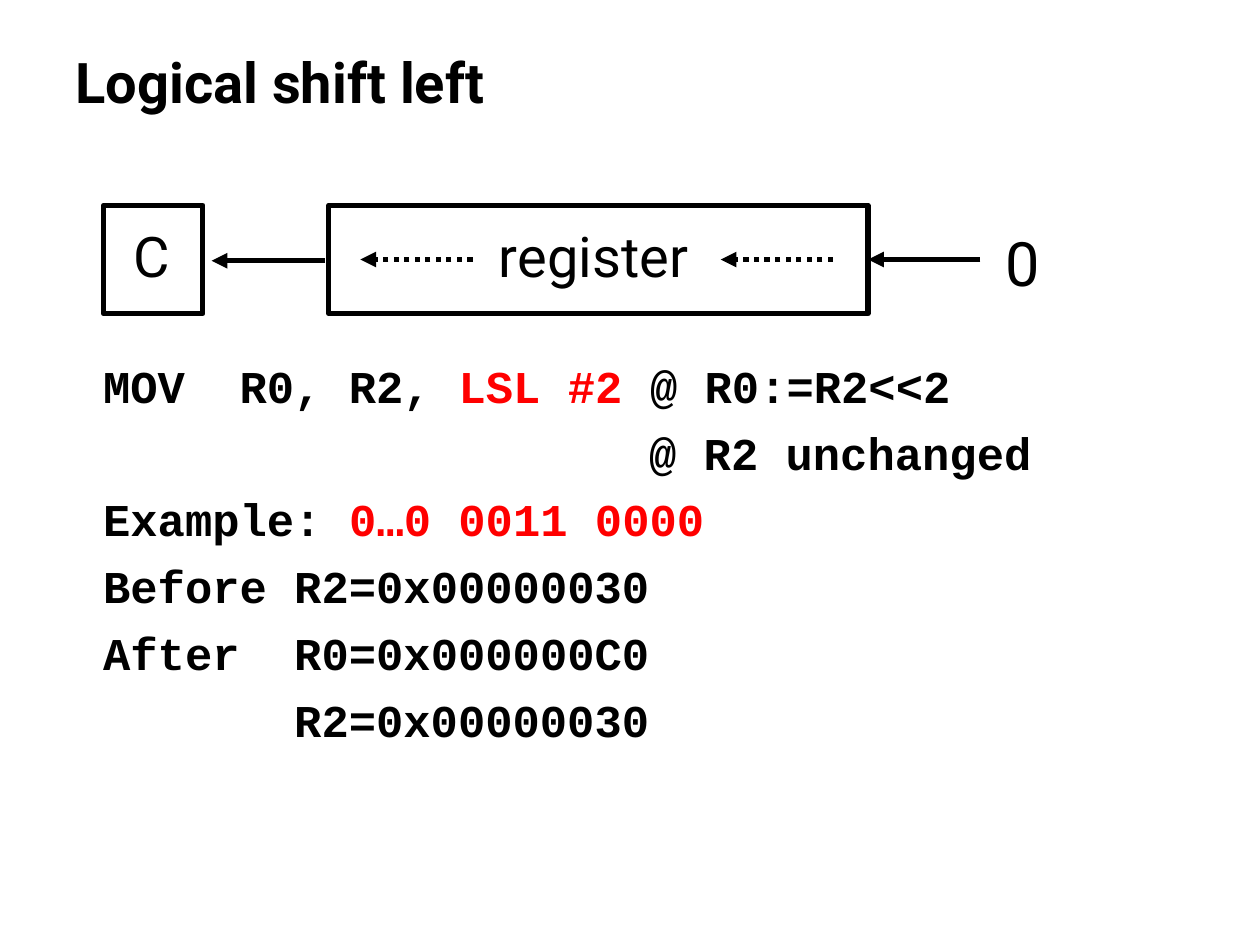
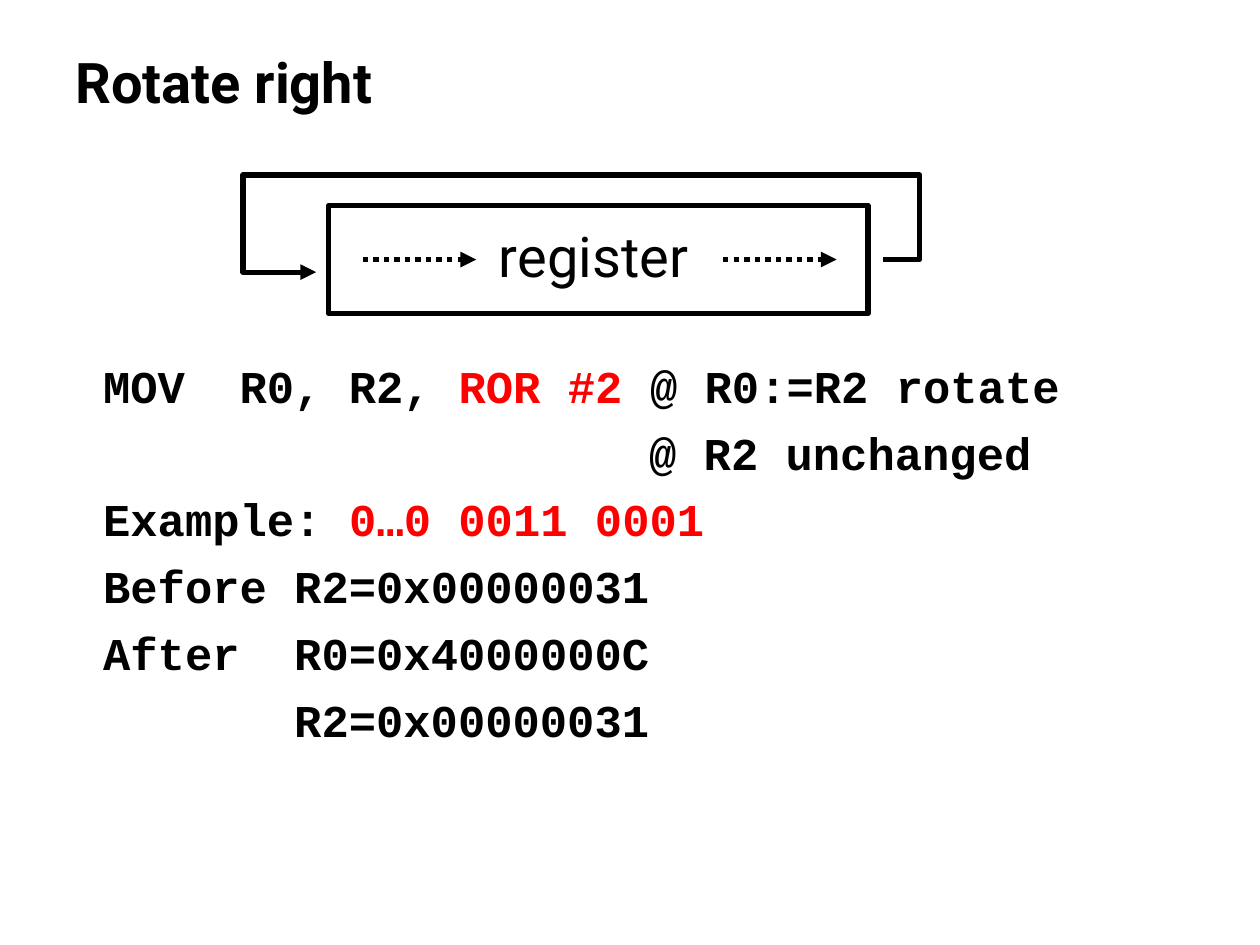
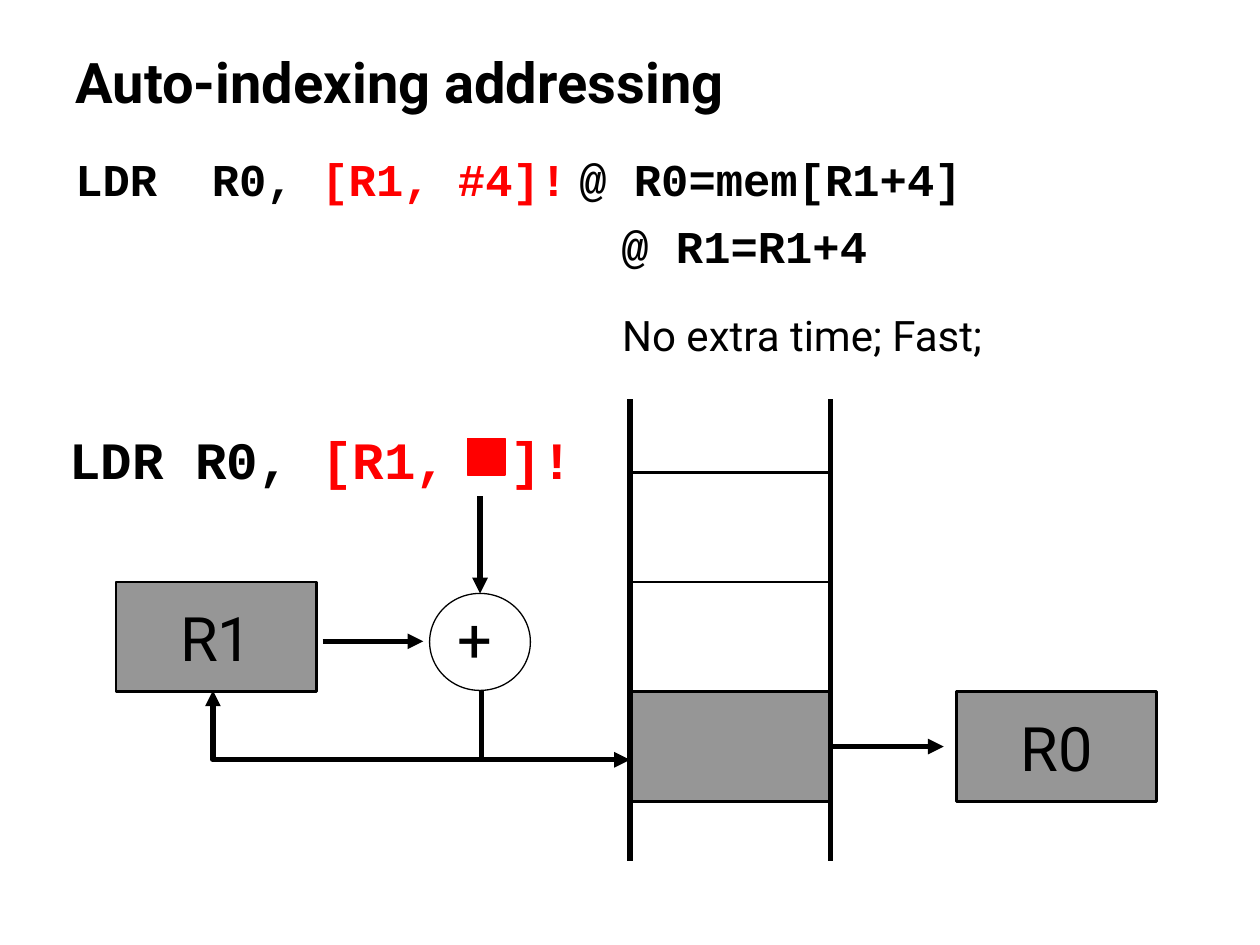
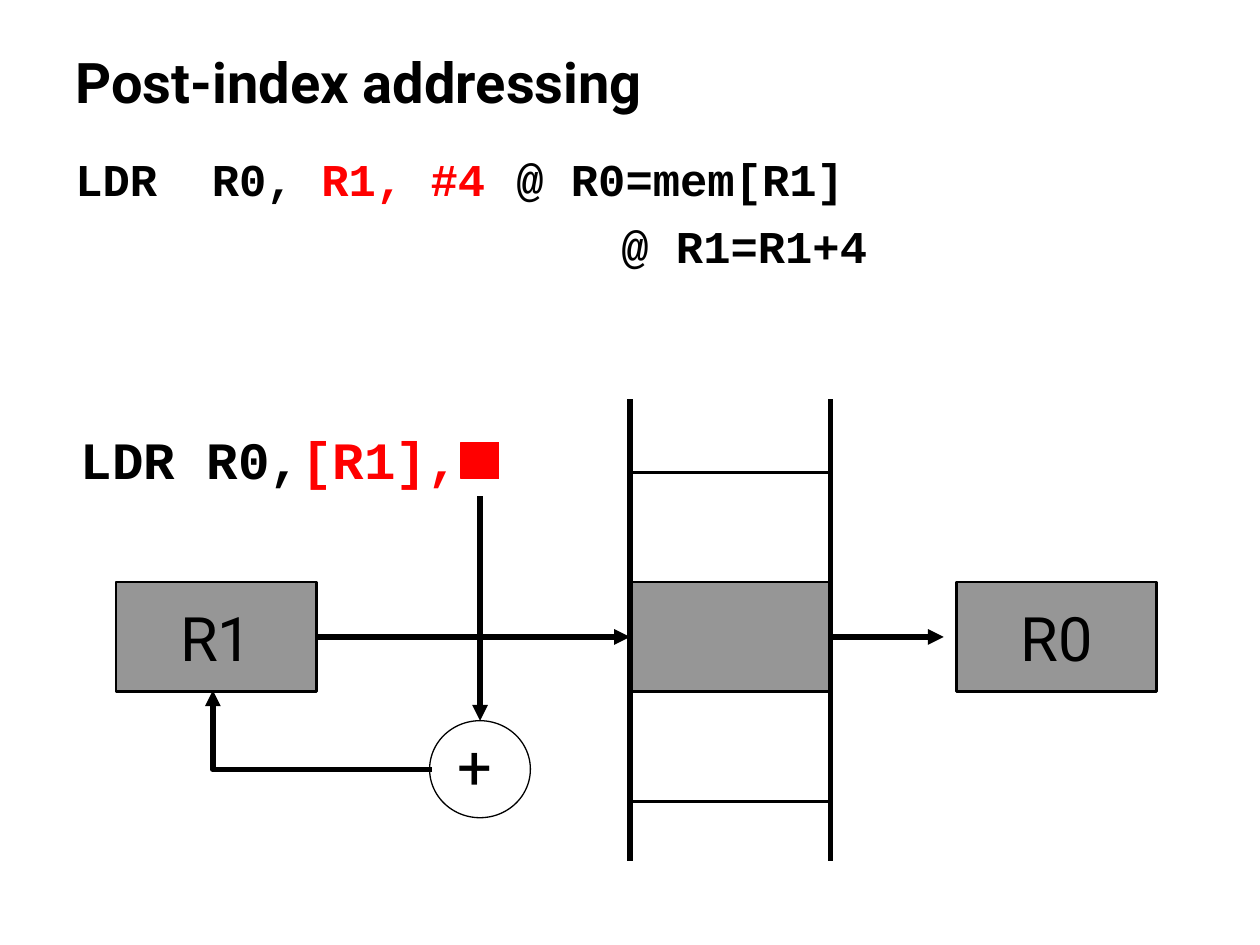
from typing import NamedTuple

from lxml.etree import SubElement
from pptx import Presentation
from pptx.dml.color import RGBColor
from pptx.enum.dml import MSO_LINE
from pptx.enum.shapes import MSO_CONNECTOR, MSO_SHAPE
from pptx.enum.text import MSO_ANCHOR, MSO_AUTO_SIZE, PP_ALIGN
from pptx.oxml.ns import qn
from pptx.util import Inches, Pt

BLACK, RED, GREY = "000000", "FF0000", "969696"
SANS, MONO = "Roboto", "Courier New"
THICK, MEDIUM, THIN = 3, 1.5, 0.75
CODE_SIZE = 26
NOTE_COL = 20  # column where the "@" comments start
TOP, LEFT, RIGHT = 0, 1, 3
REG_Y, BOX_H = 1.63, 0.86
MEM_X, MEM_Y, CELL_W, CELL_H = 5, 3.75, 1.59, 0.87
OUT_X = 7.59


class Box(NamedTuple):
    x: float
    y: float
    w: float
    h: float

    def emu(self) -> list:
        return [Inches(v) for v in self]


class Point(NamedTuple):
    x: float
    y: float


class Span(NamedTuple):
    text: str
    color: str = BLACK


class Line(NamedTuple):
    spans: list
    col: int = 0


class Font(NamedTuple):
    size: float
    name: str = SANS
    bold: bool = False


TITLE = Font(32, bold=True)
LABEL = Font(32)
BIG = Font(35)
NOTE = Font(24)
CODE = Font(CODE_SIZE, MONO, True)
FORM = Font(30, MONO, True)


def paint(color: str) -> RGBColor:
    return RGBColor.from_string(color)


def add_spans(para, spans: list, font: Font) -> None:
    for span in spans:
        run = para.add_run()
        run.text = span.text
        run.font.name = font.name
        run.font.size = Pt(font.size)
        run.font.bold = font.bold
        run.font.color.rgb = paint(span.color)


def pad(frame) -> None:
    frame.margin_left = frame.margin_right = Inches(0.12)
    frame.margin_top = frame.margin_bottom = Inches(0.06)


def add_label(shapes, box: Box, spans: list, font: Font, padded: bool = True) -> None:
    frame = shapes.add_textbox(*box.emu()).text_frame
    frame.word_wrap = False
    frame.auto_size = MSO_AUTO_SIZE.SHAPE_TO_FIT_TEXT
    if padded:
        pad(frame)
    add_spans(frame.paragraphs[0], spans, font)


def add_title(slide, text: str) -> None:
    frame = slide.shapes.add_textbox(*Box(0.5, 0.3, 9, 0.69).emu()).text_frame
    frame.word_wrap = True
    frame.vertical_anchor = MSO_ANCHOR.MIDDLE
    add_spans(frame.paragraphs[0], [Span(text)], TITLE)


def add_code(slide, box: Box, lines: list) -> None:
    """Write code lines, each indented by its column of fixed-width characters."""
    frame = slide.shapes.add_textbox(*box.emu()).text_frame
    frame.word_wrap = True
    step = 0.6 * CODE_SIZE
    for i, line in enumerate(lines):
        para = frame.add_paragraph() if i else frame.paragraphs[0]
        para.space_before, para.space_after = Pt(5), Pt(2)
        add_spans(para, line.spans, CODE)
        props = para._p.get_or_add_pPr()
        props.set("marL", str(Pt(step * line.col)))
        props.set("indent", "0")
        tabs = SubElement(props, qn("a:tabLst"))
        SubElement(tabs, qn("a:tab"), pos=str(Pt(step * NOTE_COL)), algn="l")


def stroke(shape, width: float, color: str = BLACK, arrow: bool = False) -> None:
    shape.line.width = Pt(width)
    shape.line.color.rgb = paint(color)
    if arrow:
        SubElement(shape.element.spPr.find(qn("a:ln")), qn("a:tailEnd"), type="triangle")


def add_block(shapes, box: Box, width: float, fill: str = "", edge: str = BLACK,
              kind=MSO_SHAPE.RECTANGLE):
    shape = shapes.add_shape(kind, *box.emu())
    shape.shadow.inherit = False
    if fill:
        shape.fill.solid()
        shape.fill.fore_color.rgb = paint(fill)
    else:
        shape.fill.background()
    stroke(shape, width, edge)
    return shape


def add_line(slide, start: Point, end: Point, arrow: bool = True, dotted: bool = False):
    ends = [Inches(v) for v in (*start, *end)]
    line = slide.shapes.add_connector(MSO_CONNECTOR.STRAIGHT, *ends)
    if dotted:
        line.line.dash_style = MSO_LINE.ROUND_DOT
    stroke(line, THICK, arrow=arrow)
    SubElement(line.element.spPr, qn("a:effectLst"))
    return line


def add_route(slide, points: list) -> None:
    """Draw an open bent line with an arrowhead at its last point."""
    first, *rest = [(Inches(p.x), Inches(p.y)) for p in points]
    path = slide.shapes.build_freeform(*first)
    path.add_line_segments(rest, close=False)
    shape = path.convert_to_shape()
    shape.shadow.inherit = False
    shape.fill.background()
    stroke(shape, THICK, arrow=True)


def add_reg(slide, x: float, y: float, name: str):
    """Draw a grey named register."""
    shape = add_block(slide.shapes, Box(x, y, CELL_W, CELL_H), MEDIUM, GREY)
    frame = shape.text_frame
    frame.word_wrap = False
    frame.vertical_anchor = MSO_ANCHOR.MIDDLE
    pad(frame)
    frame.paragraphs[0].alignment = PP_ALIGN.CENTER
    add_spans(frame.paragraphs[0], [Span(name)], BIG)
    return shape


def add_plus(slide, y: float):
    group = slide.shapes.add_group_shape()
    ring = add_block(group.shapes, Box(3.41, y, 0.8, 0.77), THIN, kind=MSO_SHAPE.OVAL)
    add_label(group.shapes, Box(3.51, y, 0.61, 0.69), [Span("+")], BIG)
    return ring


def cell_top(row: int) -> float:
    return MEM_Y + row * CELL_H


def add_memory(slide, used: int):
    """Draw the memory column and return its used cell, which feeds R0."""
    cells = [add_block(slide.shapes, Box(MEM_X, cell_top(row), CELL_W, CELL_H), MEDIUM,
                       GREY if row == used else "") for row in range(3)]
    for x in (MEM_X, MEM_X + CELL_W):
        add_line(slide, Point(x, 3.17), Point(x, 6.83), arrow=False)
    add_reg(slide, OUT_X, cell_top(used), "R0")
    mid = cell_top(used) + CELL_H / 2
    feed = add_line(slide, Point(MEM_X + CELL_W, mid), Point(OUT_X - 0.1, mid))
    feed.begin_connect(cells[used], RIGHT)
    return cells[used]


def add_shift(slide, starts: tuple, step: float):
    """Draw the wide register with a dotted arrow on each side of its name."""
    block = add_block(slide.shapes, Box(2.61, REG_Y, 4.28, BOX_H), THICK)
    add_label(slide.shapes, Box(3.84, 1.7, 1.79, 0.66), [Span("register")], LABEL)
    for x in starts:
        add_line(slide, Point(x, 2.06), Point(x + step, 2.06), dotted=True)
    return block


def shift_code(op: str, note: str, bits: str, before: str, after: str) -> list:
    return [
        Line([Span("MOV  R0, R2, "), Span(f"{op} #2", RED), Span(f" @ R0:=R2{note}")]),
        Line([Span("@ R2 unchanged")], NOTE_COL),
        Line([Span("Example: "), Span(bits, RED)]),
        Line([Span(f"Before R2={before}")]),
        Line([Span(f"After  R0={after}")]),
        Line([Span(f"R2={before}")], 7),
    ]


def load_code(source: str, value: str) -> list:
    return [
        Line([Span("LDR  R0, "), Span(f"{source}\t", RED), Span(f"@ R0={value}")]),
        Line([Span("@ R1=R1+4")], NOTE_COL),
    ]


def draw_left(slide) -> None:
    add_title(slide, "Logical shift left")
    add_code(slide, Box(0.72, 2.79, 8.85, 4.04),
             shift_code("LSL", "<<2", "0…0 0011 0000", "0x00000030", "0x000000C0"))
    add_block(slide.shapes, Box(0.82, REG_Y, 0.79, BOX_H), THICK)
    add_label(slide.shapes, Box(0.94, 1.7, 0.52, 0.66), [Span("C")], LABEL)
    add_label(slide.shapes, Box(7.86, 1.73, 0.52, 0.69), [Span("0")], BIG)
    block = add_shift(slide, (3.75, 6.61), -0.89)
    add_line(slide, Point(2.58, 2.07), Point(1.68, 2.07))
    add_line(slide, Point(7.78, 2.06), Point(6.89, 2.06)).end_connect(block, RIGHT)


def draw_rotate(slide) -> None:
    add_title(slide, "Rotate right")
    add_code(slide, Box(0.72, 2.79, 9.05, 4.04),
             shift_code("ROR", " rotate", "0…0 0011 0001", "0x00000031", "0x4000000C"))
    add_route(slide, [Point(7.01, 2.06), Point(7.3, 2.06), Point(7.3, 1.39),
                      Point(1.93, 1.39), Point(1.93, 2.16), Point(2.51, 2.16)])
    add_shift(slide, (2.88, 5.74), 0.9)


def draw_load(slide, title: str, lines: list, form: Box, spans: list,
              square: Point, plus_y: float, used: int) -> tuple:
    """Draw what both load slides share; return R1 and the used cell."""
    add_title(slide, title)
    add_code(slide, Box(0.5, 1.15, 9, 5.98), lines)
    add_label(slide.shapes, form, spans, FORM)
    add_block(slide.shapes, Box(*square, 0.3, 0.29), THIN, RED, RED)
    cell = add_memory(slide, used)
    source = add_reg(slide, 0.92, cell_top(1), "R1")
    ring = add_plus(slide, plus_y)
    add_line(slide, Point(3.81, 3.94), Point(3.81, plus_y)).end_connect(ring, TOP)
    return source, cell


def draw_auto(slide) -> None:
    draw_load(slide, "Auto-indexing addressing", load_code("[R1, #4]!", "mem[R1+4]"),
              Box(0.43, 3.33, 4.25, 0.62), [Span("LDR R0, "), Span("[R1,  ]!", RED)],
              Point(3.71, 3.48), 4.71, used=2)
    add_line(slide, Point(2.56, 5.09), Point(3.36, 5.09))
    fork = Point(3.82, 6.03)
    add_route(slide, [Point(3.82, 5.48), fork, Point(MEM_X, 6.03)])
    add_route(slide, [fork, Point(1.69, 6.03), Point(1.69, 5.48)])
    add_label(slide.shapes, Box(4.84, 2.41, 3.33, 0.5), [Span("No extra time; Fast;")],
              NOTE, padded=False)


def draw_post(slide) -> None:
    source, cell = draw_load(
        slide, "Post-index addressing", load_code("R1, #4", "mem[R1]"),
        Box(0.52, 3.33, 3.75, 0.62), [Span("LDR R0,"), Span("[R1],", RED)],
        Point(3.66, 3.51), 5.72, used=1)
    link = add_line(slide, Point(2.51, 5.06), Point(MEM_X, 5.06))
    link.begin_connect(source, RIGHT)
    link.end_connect(cell, LEFT)
    add_route(slide, [Point(3.43, 6.11), Point(1.69, 6.11), Point(1.69, 5.48)])


def main() -> None:
    deck = Presentation()
    deck.slide_width, deck.slide_height = Inches(10), Inches(7.5)
    for draw in (draw_left, draw_rotate, draw_auto, draw_post):
        draw(deck.slides.add_slide(deck.slide_layouts[6]))
    deck.save("out.pptx")


if __name__ == "__main__":
    main()
